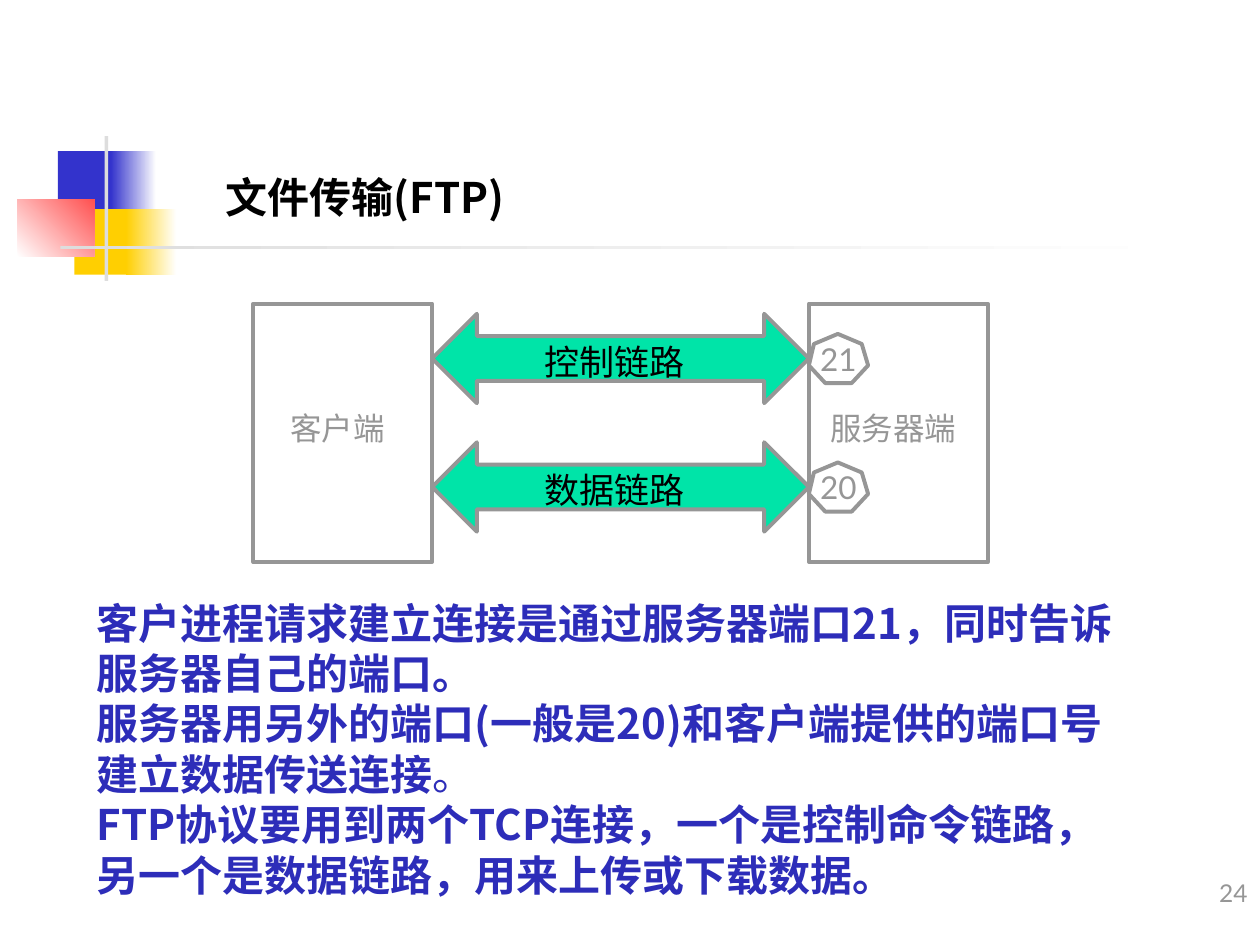
import pptx
import pptx.util
import pptx.dml.color
import pptx.enum.shapes
import pptx.enum.text
import pptx.oxml.ns
import lxml.etree

RGBColor = pptx.dml.color.RGBColor
Shape = pptx.enum.shapes.MSO_SHAPE
Align = pptx.enum.text.PP_ALIGN
Anchor = pptx.enum.text.MSO_ANCHOR

BLUE = RGBColor(0x33, 0x33, 0xCC)
YELLOW = RGBColor(0xFF, 0xCF, 0x01)
RED = RGBColor(0xFF, 0x50, 0x50)
SILVER = RGBColor(0xDD, 0xDD, 0xDD)
WHITE = RGBColor(0xFF, 0xFF, 0xFF)
BLACK = RGBColor(0, 0, 0)
GRAY = RGBColor(0x96, 0x96, 0x96)
GREEN = RGBColor(0x00, 0xE4, 0xA8)
NAVY = RGBColor(0x2D, 0x2D, 0xB9)

PX = 9144
LATO = "Lato"
NOTO = "Noto Sans CJK SC"


def emu(*lengths):
    """Turn px lengths into EMU."""
    return [length * PX for length in lengths]


def text_format(size, name, color, bold=False):
    """Return the font values of one text style."""
    return {"size": pptx.util.Pt(size), "name": name, "bold": bold, "color": color}


TITLE = text_format(24, NOTO, BLACK, True)
BODY = text_format(24, NOTO, NAVY, True)
BODY_LIGHT = text_format(24, LATO, NAVY)
NODE = text_format(18, LATO, GRAY)
LINK = text_format(20, NOTO, BLACK)
NUMBER = text_format(14, LATO, GRAY)


def write(shape, paragraphs, align=Align.LEFT, anchor=Anchor.TOP, wrap=True):
    """Fill a shape with paragraphs, each a list of text and style pairs."""
    frame = shape.text_frame
    settings = {"word_wrap": wrap, "vertical_anchor": anchor,
                "auto_size": pptx.enum.text.MSO_AUTO_SIZE.NONE}
    for key, value in settings.items():
        setattr(frame, key, value)
    for index, pieces in enumerate(paragraphs):
        para = frame.paragraphs[0] if index == 0 else frame.add_paragraph()
        para.alignment = align
        for text, style in pieces:
            span = para.add_run()
            span.text = text
            for key, value in style.items():
                if key == "color":
                    span.font.color.rgb = value
                else:
                    setattr(span.font, key, value)
            east = lxml.etree.SubElement(span.font._element, pptx.oxml.ns.qn("a:ea"))
            east.set("typeface", NOTO)


def add_text(page, box, paragraphs, **options):
    """Add a text box."""
    write(page.shapes.add_textbox(*emu(*box)), paragraphs, **options)


def outline(shape, fill=None):
    """Give a shape the gray outline and an optional fill."""
    shape.shadow.inherit = False
    shape.line.color.rgb = GRAY
    shape.line.width = pptx.util.Pt(2.25)
    if fill is None:
        shape.fill.background()
    else:
        shape.fill.solid()
        shape.fill.fore_color.rgb = fill


def add_block(page, box, start, end=None, angle=0):
    """Add a borderless rectangle, plain or fading from start to end."""
    block = page.shapes.add_shape(Shape.RECTANGLE, *emu(*box))
    block.shadow.inherit = False
    block.line.fill.background()
    if end is None:
        block.fill.solid()
        block.fill.fore_color.rgb = start
        return
    block.fill.gradient()
    block.fill.gradient_angle = angle
    for stop, color in zip(block.fill.gradient_stops, (start, end)):
        stop.color.rgb = color


def add_ornament(page, left, top):
    """Draw the coloured squares and the crossing rules."""
    blocks = [
        ((32, 12, 48, 52), BLUE),
        ((74, 12, 36, 52), BLUE, WHITE),
        ((45, 58, 46, 52), YELLOW),
        ((86, 58, 40, 52), YELLOW, WHITE),
        ((0, 50, 61, 46), WHITE, RED, 45),
        ((69, 0, 3, 115), SILVER),
        ((34, 87, 900, 3), SILVER, WHITE),
    ]
    for (x, y, width, height), *colors in blocks:
        add_block(page, (left + x, top + y, width, height), *colors)


def add_title(page, box, text):
    """Place the title placeholder."""
    title = page.shapes.title
    for key, value in zip(("left", "top", "width", "height"), emu(*box)):
        setattr(title, key, value)
    write(title, [[(text, TITLE)]], anchor=Anchor.BOTTOM)


def add_host(page, box, label, label_left):
    """Draw one end of the connection with its label."""
    outline(page.shapes.add_shape(Shape.RECTANGLE, *emu(*box)))
    add_text(page, (label_left, box[1] + 79, 150, 40), [[(label, NODE)]], align=Align.CENTER)


def add_port(page, left, top, number):
    """Draw a heptagon holding a port number."""
    points = [(0, 25), (4, 8), (23, 0), (42, 8), (47, 25), (34, 39), (13, 39)]
    corners = [(left + x, top + y) for x, y in points]
    builder = page.shapes.build_freeform(*corners[0], scale=PX)
    builder.add_line_segments(corners[1:], close=True)
    port = builder.convert_to_shape()
    outline(port)
    write(port, [[(number, NODE)]], align=Align.CENTER, anchor=Anchor.MIDDLE, wrap=False)


def add_link(page, box, label, number):
    """Draw a two-way arrow with its label and server port."""
    left, top, width, height = box
    arrow = page.shapes.add_shape(Shape.LEFT_RIGHT_ARROW, *emu(*box))
    outline(arrow, GREEN)
    arrow.adjustments[0] = arrow.adjustments[1] = 0.5
    add_text(page, (left + 70, top + 16, 150, 44), [[(label, LINK)]], align=Align.CENTER)
    add_port(page, left + width, top + 16, number)


def add_diagram(page, left, top):
    """Draw client, server and the two links between them."""
    add_host(page, (left, top, 142, 205), "客户端", left - 8)
    add_host(page, (left + 441, top, 142, 205), "服务器端", left + 433)
    for row, (label, number) in enumerate([("控制链路", "21"), ("数据链路", "20")]):
        add_link(page, (left + 142, top + 8 + 102 * row, 299, 71), label, number)


def main():
    """Build the slide and save it."""
    deck = pptx.Presentation()
    deck.slide_width, deck.slide_height = emu(1000, 750)
    page = deck.slides.add_slide(deck.slide_layouts[5])
    add_ornament(page, 14, 108)
    add_title(page, (169, 84, 748, 97), "文件传输(FTP)")
    add_diagram(page, 201, 241)
    add_text(page, (67, 469, 835, 257), [
        [("客户进程请求建立连接是通过服务器端口21，同时告诉服务器自己的端口。", BODY)],
        [("服务器用另外的端口(一般是20)和客户端提供的端口号建立数据传送连接", BODY), ("。", BODY_LIGHT)],
        [("FTP协议要用到两个TCP连接，一个是控制命令链路，另一个是数据链路，用来上传或下载数据。", BODY)],
    ])
    add_text(page, (792, 675, 208, 50), [[("24", NUMBER)]], align=Align.RIGHT, anchor=Anchor.BOTTOM)
    deck.save("out.pptx")


if __name__ == "__main__":
    main()
